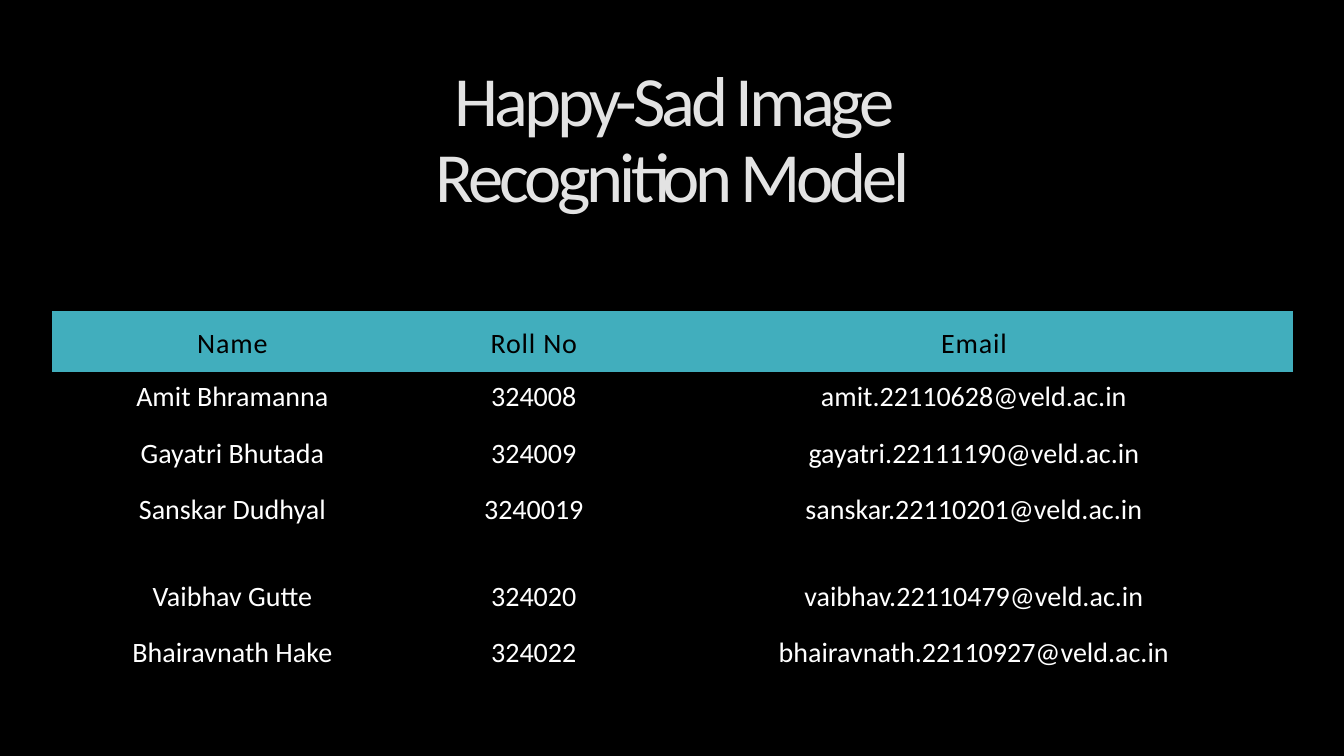
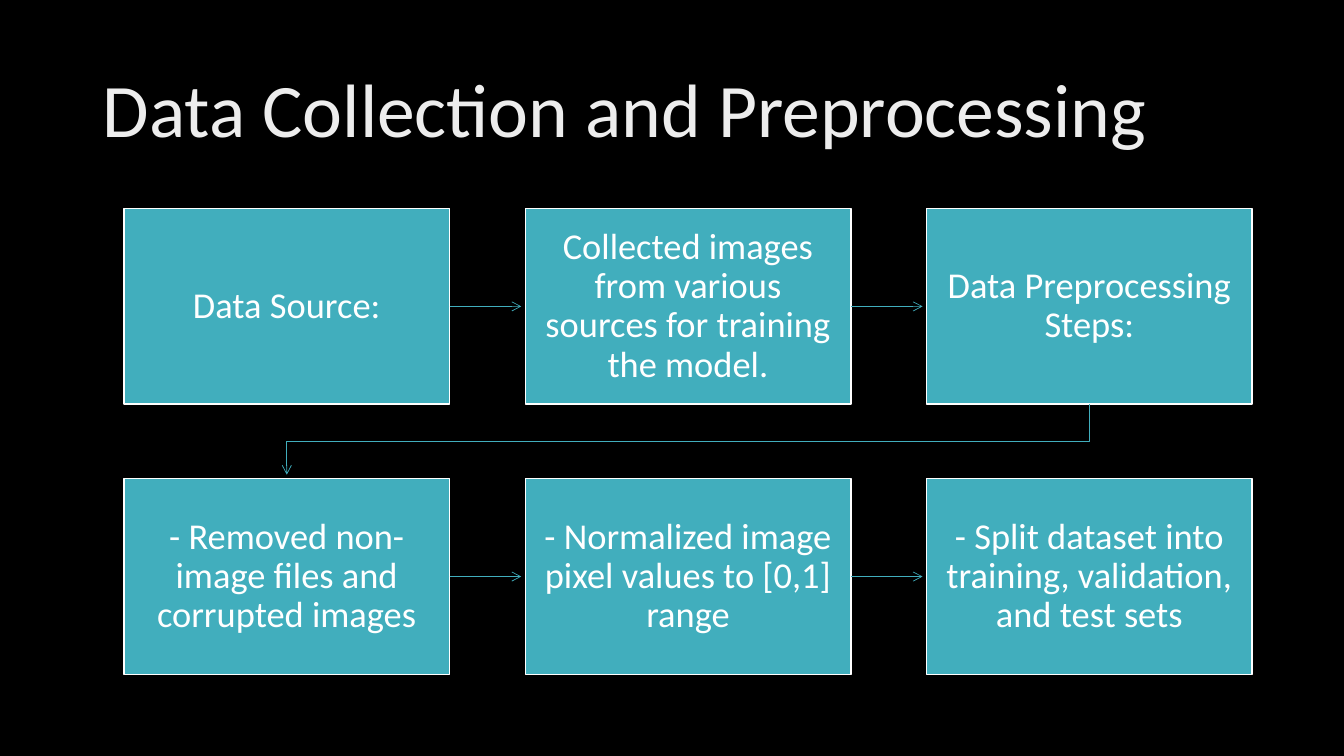
from lxml import etree
from pptx import Presentation
from pptx.dml.color import RGBColor
from pptx.enum.shapes import MSO_CONNECTOR, MSO_SHAPE
from pptx.enum.text import MSO_ANCHOR, MSO_AUTO_SIZE, PP_ALIGN
from pptx.oxml.ns import qn
from pptx.util import Inches, Pt

CENTER, LEFT = PP_ALIGN.CENTER, PP_ALIGN.LEFT
MIDDLE, TOP = MSO_ANCHOR.MIDDLE, MSO_ANCHOR.TOP
RECTANGLE, STRAIGHT = MSO_SHAPE.RECTANGLE, MSO_CONNECTOR.STRAIGHT
NO_AUTOFIT = MSO_AUTO_SIZE.NONE

FONT = "Calibri"
COLORS = {"black": "000000", "white": "FFFFFF", "teal": "41AEBD",
          "cover_title": "E3E3E3", "title": "EDEDED"}
COLORS = {name: RGBColor.from_string(value) for name, value in COLORS.items()}
PLAIN_TABLE_STYLE = "{2D5ABB26-0587-4C30-8999-92F81FD0307C}"


def write(frame, text, size, color, align=CENTER, line_spacing=0.9, tracking=0):
    """Put one formatted paragraph into a text frame; tracking is in points."""
    frame.text = text
    frame.word_wrap = True
    paragraph = frame.paragraphs[0]
    paragraph.alignment = align
    paragraph.line_spacing = line_spacing
    run = paragraph.runs[0]
    run.font.name = FONT
    run.font.size = Pt(size)
    run.font.color.rgb = COLORS[color]
    if tracking:
        run.font._element.set("spc", str(round(tracking * 100)))


def style_arrow(line_shape):
    """Thin teal line with an open arrowhead and no shadow."""
    line_shape.line.color.rgb = COLORS["teal"]
    line_shape.line.width = Pt(0.5)
    properties = line_shape._element.spPr
    etree.SubElement(properties.find(qn("a:ln")), qn("a:tailEnd"), type="arrow")
    etree.SubElement(properties, qn("a:effectLst"))


prs = Presentation()
prs.slide_width, prs.slide_height = Inches(13.33), Inches(7.5)
background = prs.slide_master.background.fill
background.solid()
background.fore_color.rgb = COLORS["black"]
title_only = prs.slide_layouts[5]

# Slides and their titles: text, box, size, colour, alignment, tracking
TITLES = [
    ("Happy-Sad Image Recognition Model", (3.52, 0.56, 6.3, 1.69),
     50.4, "cover_title", CENTER, -3),
    ("Data Collection and Preprocessing", (0.92, 0.4, 11.5, 1.45),
     54, "title", LEFT, 0),
]
for text, box, size, color, align, tracking in TITLES:
    title = prs.slides.add_slide(title_only).shapes.title
    title.left, title.top, title.width, title.height = map(Inches, box)
    write(title.text_frame, text, size, color, align, tracking=tracking)
    title.text_frame.auto_size = NO_AUTOFIT
    title.text_frame.vertical_anchor = MIDDLE
team_slide, data_slide = prs.slides

# Team table
TEAM = [
    ("Name", "Roll No", "Email"),
    ("Amit Bhramanna", "324008", "amit.22110628@veld.ac.in"),
    ("Gayatri Bhutada", "324009", "gayatri.22111190@veld.ac.in"),
    ("Sanskar Dudhyal", "3240019", "sanskar.22110201@veld.ac.in"),
    ("Vaibhav Gutte", "324020", "vaibhav.22110479@veld.ac.in"),
    ("Bhairavnath Hake", "324022", "bhairavnath.22110927@veld.ac.in"),
]
COLUMN_WIDTHS = (3.57, 2.41, 6.32)
ROW_HEIGHTS = (0.6, 0.56, 0.56, 0.86, 0.56, 0.56)

team = team_slide.shapes.add_table(
    len(TEAM), len(COLUMN_WIDTHS), Inches(0.52), Inches(3.09),
    Inches(sum(COLUMN_WIDTHS)), Inches(sum(ROW_HEIGHTS))).table
team.horz_banding = False
team._tbl.tblPr.find(qn("a:tableStyleId")).text = PLAIN_TABLE_STYLE
for column, width in zip(team.columns, COLUMN_WIDTHS):
    column.width = Inches(width)
for r, (row, height, texts) in enumerate(zip(team.rows, ROW_HEIGHTS, TEAM)):
    row.height = Inches(height)
    header = r == 0
    for cell, text in zip(row.cells, texts):
        cell.fill.solid()
        cell.fill.fore_color.rgb = COLORS["teal" if header else "black"]
        cell.vertical_anchor = MIDDLE if header else TOP
        cell.margin_left = cell.margin_right = cell.margin_top = Inches(0.08)
        cell.margin_bottom = Inches(0.04)
        write(cell.text_frame, text, 20, "black" if header else "white",
              line_spacing=1, tracking=0.6 if header else 0)

# Process steps in a grid, read row by row
STEPS = [
    "Data Source:",
    "Collected images from various sources for training the model.",
    "Data Preprocessing Steps:",
    "- Removed non-image files and corrupted images",
    "- Normalized image pixel values to [0,1] range",
    "- Split dataset into training, validation, and test sets",
]
PER_ROW = 3
GRID_LEFT, GRID_TOP = Inches(1.23), Inches(2.07)
STEP_WIDTH, STEP_HEIGHT = Inches(3.23), Inches(1.94)
PITCH_X, PITCH_Y = Inches(3.98), Inches(2.68)
ARROW_GAP = Inches(0.04)

steps = []
for i, text in enumerate(STEPS):
    row, column = divmod(i, PER_ROW)
    step = data_slide.shapes.add_shape(
        RECTANGLE, GRID_LEFT + column * PITCH_X, GRID_TOP + row * PITCH_Y,
        STEP_WIDTH, STEP_HEIGHT)
    step.shadow.inherit = False
    step.fill.solid()
    step.fill.fore_color.rgb = COLORS["teal"]
    step.line.color.rgb = COLORS["white"]
    step.line.width = Pt(1)
    frame = step.text_frame
    write(frame, text, 26, "white")
    frame.vertical_anchor = MIDDLE
    frame.margin_left = frame.margin_right = Inches(0.16)
    frame.margin_top = frame.margin_bottom = Inches(0.17)
    steps.append(step)

# Arrows: straight within a row, bent on to the next row
for source, target in zip(steps, steps[1:]):
    if source.top == target.top:
        middle = source.top + STEP_HEIGHT // 2
        arrow = data_slide.shapes.add_connector(
            STRAIGHT, source.left + STEP_WIDTH, middle,
            target.left - ARROW_GAP, middle)
        arrow.begin_connect(source, 3)
    else:
        start_x = source.left + STEP_WIDTH // 2
        end_x = target.left + STEP_WIDTH // 2
        start_y = source.top + STEP_HEIGHT
        bend_y = (start_y + target.top) // 2
        bend = data_slide.shapes.build_freeform(start_x, start_y)
        bend.add_line_segments(
            [(start_x, bend_y), (end_x, bend_y),
             (end_x, target.top - ARROW_GAP)], close=False)
        arrow = bend.convert_to_shape()
        arrow.fill.background()
    style_arrow(arrow)

prs.save("out.pptx")
